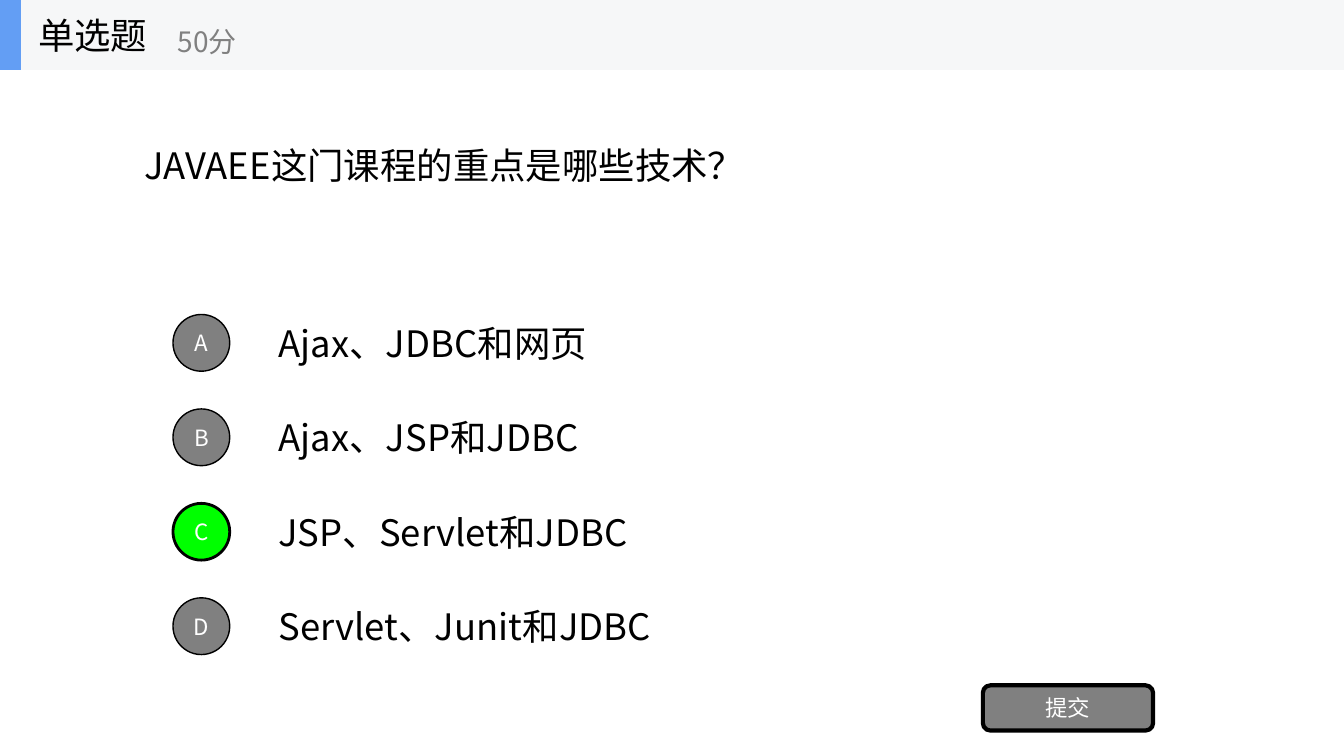
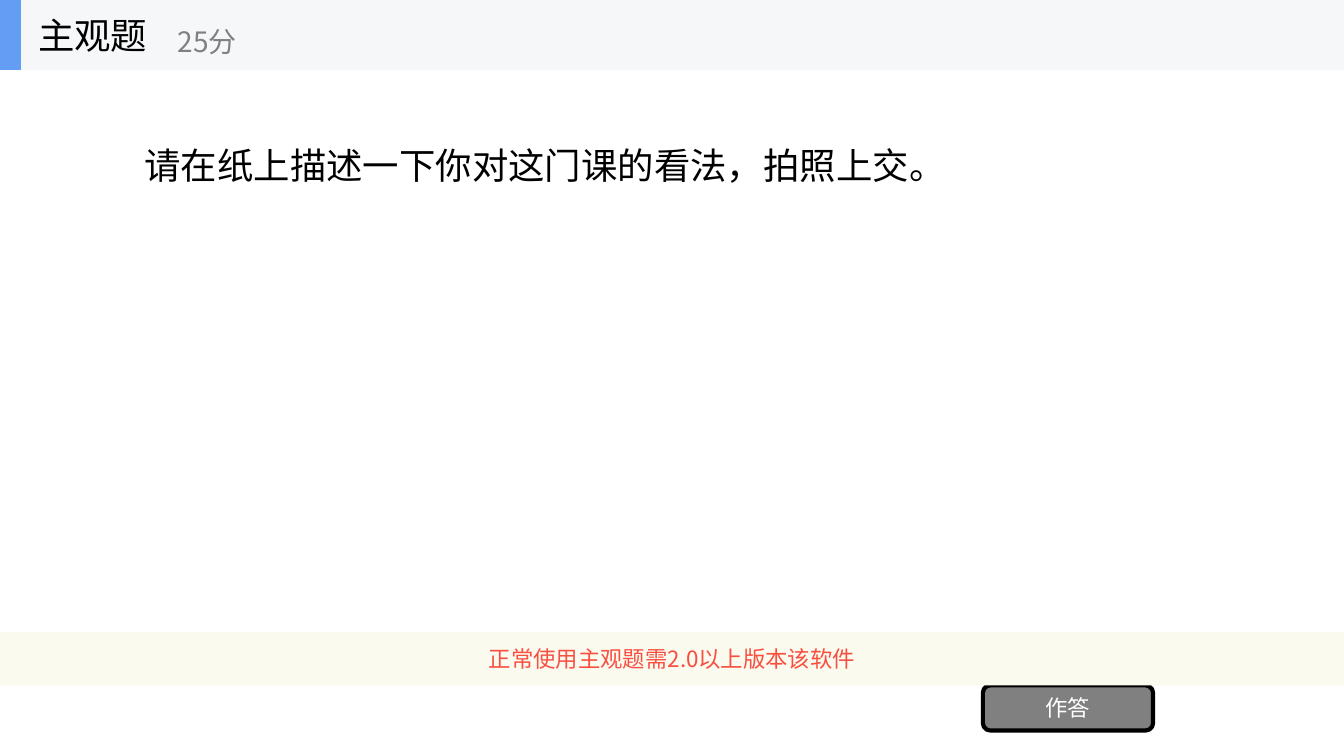
from lxml.etree import SubElement
from pptx import Presentation
from pptx.dml.color import RGBColor
from pptx.enum.shapes import MSO_SHAPE
from pptx.enum.text import MSO_ANCHOR, PP_ALIGN
from pptx.oxml.ns import qn
from pptx.util import Cm, Pt

# Shared style
FONT = "Noto Sans CJK SC"
BLACK, WHITE, GREY, GREEN = "000000", "FFFFFF", "808080", "00FF00"
HEADER, ACCENT = "F6F7F8", "639EF4"
NOTICE, WARNING = "FBFAEF", "F84F41"
SLIDE_WIDTH, SLIDE_HEIGHT = 33.87, 19.05
HEADER_HEIGHT = 1.76
OPTION_TOP, OPTION_HEIGHT, OPTION_PITCH = 7.75, 1.78, 2.38
BADGE_SIZE = 1.43


def color(value):
    return RGBColor.from_string(value)


class QuizDeck:
    def __init__(self):
        self.presentation = Presentation()
        self.presentation.slide_width = Cm(SLIDE_WIDTH)
        self.presentation.slide_height = Cm(SLIDE_HEIGHT)
        self.slide = None

    def add_slide(self, title, score, question):
        self.slide = self.presentation.slides.add_slide(self.presentation.slide_layouts[6])
        self.text(question, (3.39, 1.19, 27.1, 5.94))
        self.header(title, score)

    def fill_text(self, shape, content, size, ink, align=PP_ALIGN.LEFT):
        frame = shape.text_frame
        frame.word_wrap = True
        frame.vertical_anchor = MSO_ANCHOR.MIDDLE
        paragraph = frame.paragraphs[0]
        paragraph.alignment = align
        run = paragraph.add_run()
        run.text = content
        for name, value in {"name": FONT, "size": Pt(size)}.items():
            setattr(run.font, name, value)
        run.font.color.rgb = color(ink)
        # East Asian characters take their font from a separate element
        SubElement(run.font._element, qn("a:ea"), typeface=FONT)

    def text(self, content, box, size=26, ink=BLACK, parent=None):
        shapes = parent or self.slide.shapes
        self.fill_text(shapes.add_textbox(*map(Cm, box)), content, size, ink)

    def block(self, kind, box, fill, content="", ink=WHITE, border=0, parent=None):
        shapes = parent or self.slide.shapes
        shape = shapes.add_shape(kind, *map(Cm, box))
        shape.shadow.inherit = False
        shape.fill.solid()
        shape.fill.fore_color.rgb = color(fill)
        if border:
            shape.line.color.rgb = color(BLACK)
            shape.line.width = Pt(border)
        else:
            shape.line.fill.background()
        if content:
            margins = {"margin_left": 0, "margin_right": 0, "margin_top": 0, "margin_bottom": 0}
            for name, value in margins.items():
                setattr(shape.text_frame, name, value)
            self.fill_text(shape, content, 16, ink, PP_ALIGN.CENTER)

    def header(self, title, score):
        # An empty shape collection is false, so the background goes in first by name
        group = HeaderGroup(self.slide.shapes.add_group_shape().shapes)
        for width, fill in ((SLIDE_WIDTH, HEADER), (0.53, ACCENT)):
            self.block(MSO_SHAPE.RECTANGLE, (0, 0, width, HEADER_HEIGHT), fill, parent=group)
        self.text(title, (0.71, 0, 5.29, HEADER_HEIGHT), parent=group)
        self.text(score, (4.23, 0.32, 6.35, 1.43), 20, GREY, group)

    def option(self, index, answer, correct):
        top = OPTION_TOP + index * OPTION_PITCH
        self.text(answer, (6.77, top, 23.71, OPTION_HEIGHT))
        badge_top = top + (OPTION_HEIGHT - BADGE_SIZE) / 2
        self.block(MSO_SHAPE.OVAL, (4.36, badge_top, BADGE_SIZE, BADGE_SIZE),
                   GREEN if correct else GREY, "ABCD"[index], border=2 if correct else 1)

    def button(self, label):
        self.block(MSO_SHAPE.ROUNDED_RECTANGLE, (24.77, 17.27, 4.29, 1.14), GREY, label, border=3)

    def notice(self, message):
        self.block(MSO_SHAPE.RECTANGLE, (0, 15.92, SLIDE_WIDTH, 1.35), NOTICE, message, WARNING)


class HeaderGroup:
    def __init__(self, shapes):
        self.add_shape = shapes.add_shape
        self.add_textbox = shapes.add_textbox


deck = QuizDeck()

# Single choice question
deck.add_slide("单选题", "50分", "JAVAEE这门课程的重点是哪些技术？")
answers = ["Ajax、JDBC和网页", "Ajax、JSP和JDBC", "JSP、Servlet和JDBC", "Servlet、Junit和JDBC"]
for index, answer in enumerate(answers):
    deck.option(index, answer, correct=index == 2)
deck.button("提交")

# Open question
deck.add_slide("主观题", "25分", "请在纸上描述一下你对这门课的看法，拍照上交。")
deck.button("作答")
deck.notice("正常使用主观题需2.0以上版本该软件")

deck.presentation.save("out.pptx")
